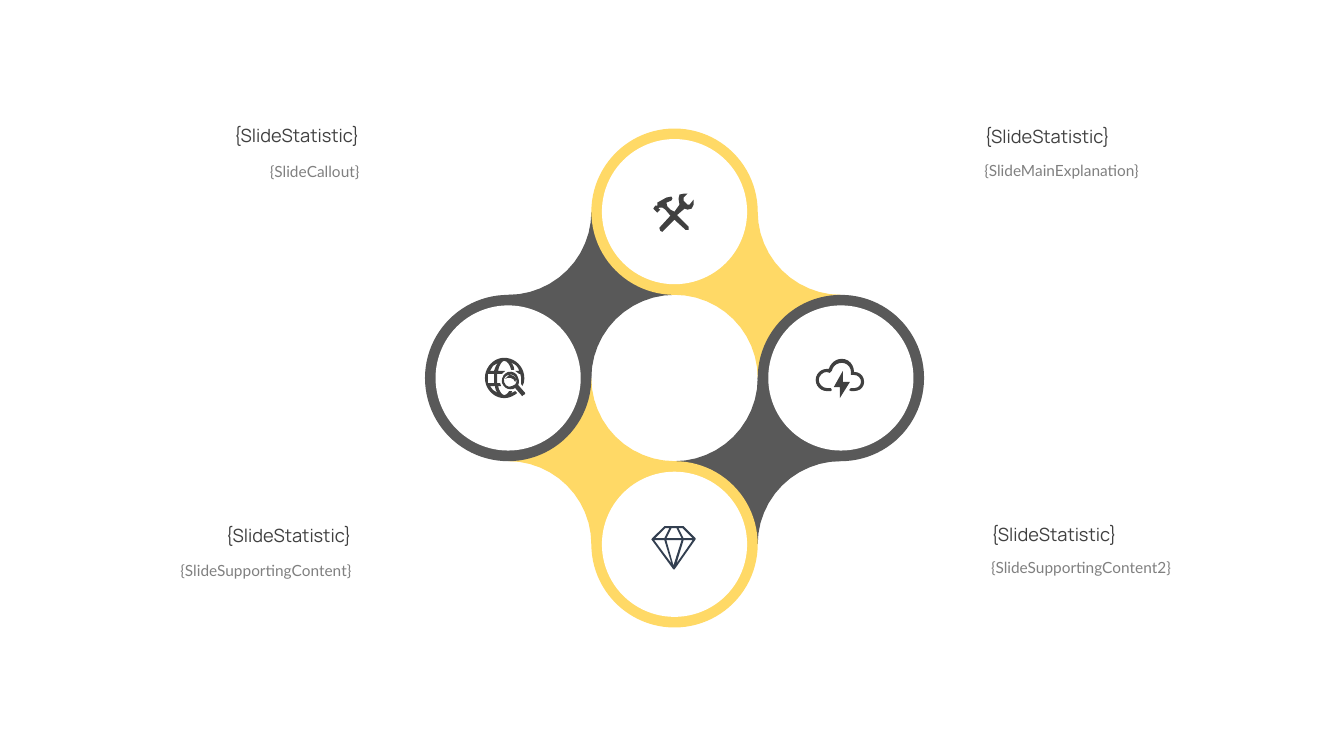
from math import ceil, cos, dist, radians, sin

from pptx import Presentation
from pptx.dml.color import RGBColor
from pptx.enum.shapes import MSO_SHAPE
from pptx.enum.text import MSO_AUTO_SIZE, PP_ALIGN
from pptx.util import Inches, Pt

WIDTH, HEIGHT = 13.33, 7.5
CENTER = (6.69, HEIGHT / 2)
STEP = 1.65            # from the centre of the cross to the centre of each lobe
LOBE_RADIUS = STEP / 2
HOLE_RADIUS = 0.72

YELLOW = RGBColor(0xFF, 0xD9, 0x66)
GRAY = RGBColor(0x59, 0x59, 0x59)
WHITE = RGBColor(0xFF, 0xFF, 0xFF)
DARK = RGBColor(0x40, 0x40, 0x40)
NAVY = RGBColor(0x33, 0x3F, 0x50)
MUTED = RGBColor(0x80, 0x80, 0x80)

# Clockwise from the right
LOBES = [(0, GRAY), (90, YELLOW), (180, GRAY), (270, YELLOW)]

STATISTIC = {"name": "Manrope", "size": Pt(13)}
EXPLANATION = {"name": "Lato", "size": Pt(11)}
TEXT_WIDTH, STATISTIC_HEIGHT, EXPLANATION_HEIGHT = 0.206, 0.053, 0.12

# Left edge, statistic top and explanation top as shares of the slide
CALLOUTS = [
    (0.725, 0.145, 0.195, PP_ALIGN.LEFT, "{SlideMainExplanation}"),
    (0.069, 0.143, 0.196, PP_ALIGN.RIGHT, "{SlideCallout}"),
    (0.063, 0.672, 0.723, PP_ALIGN.RIGHT, "{SlideSupportingContent}"),
    (0.73, 0.671, 0.72, PP_ALIGN.LEFT, "{SlideSupportingContent2}"),
]

# Outlines in inches: a pair is a straight step, six numbers are a cubic curve
TOOLS = [[
    (6.88, 1.98), (6.84, 2.03), (6.82, 2.03), (6.78, 1.99), (6.78, 1.96), (6.82, 1.92),
    (6.79, 1.92), (6.74, 1.93), (6.73, 1.97), (6.74, 2.03), (6.69, 2.1), (6.65, 2.08),
    (6.62, 2.05), (6.61, 2.01), (6.66, 1.99), (6.67, 1.97), (6.66, 1.95), (6.61, 1.96),
    (6.52, 2.01), (6.52, 2.04), (6.5, 2.04), (6.48, 2.07), (6.52, 2.11), (6.55, 2.08),
    (6.53, 2.07), (6.54, 2.06), (6.57, 2.06), (6.6, 2.08), (6.65, 2.14), (6.54, 2.26),
    (6.55, 2.29), (6.57, 2.3), (6.69, 2.18), (6.8, 2.28), (6.83, 2.28), (6.83, 2.25),
    (6.72, 2.14), (6.72, 2.13), (6.79, 2.07), (6.82, 2.08), (6.86, 2.07), (6.88, 2.03),
]]
DIAMOND = [
    [(6.59, 5.22), (6.78, 5.22), (6.9, 5.34), (6.9, 5.35), (6.69, 5.65), (6.68, 5.65),
     (6.46, 5.35), (6.47, 5.34)],
    [(6.77, 5.24), (6.87, 5.34), (6.78, 5.34), (6.73, 5.24)],
    [(6.71, 5.24), (6.76, 5.34), (6.61, 5.34), (6.66, 5.24)],
    [(6.6, 5.24), (6.64, 5.24), (6.59, 5.34), (6.5, 5.34)],
    [(6.49, 5.36), (6.59, 5.36), (6.66, 5.59)],
    [(6.68, 5.61), (6.61, 5.36), (6.76, 5.36)],
    [(6.71, 5.59), (6.78, 5.36), (6.87, 5.36)],
]
GLOBE = [
    [(5.11, 3.88), (5.07, 3.9), (5.08, 3.88), (5.05, 3.88),
     (5.04, 3.9, 5.02, 3.92, 5, 3.92), (4.98, 3.92, 4.95, 3.88, 4.94, 3.83),
     (4.97, 3.83), (4.96, 3.8), (4.93, 3.8), (4.93, 3.71), (4.98, 3.71), (5.01, 3.68),
     (4.94, 3.68), (4.95, 3.62, 4.98, 3.58, 5, 3.58), (5.03, 3.58, 5.06, 3.62, 5.07, 3.67),
     (5.1, 3.67), (5.1, 3.64, 5.09, 3.62, 5.07, 3.6), (5.11, 3.61, 5.14, 3.64, 5.15, 3.68),
     (5.11, 3.68), (5.15, 3.71), (5.16, 3.71), (5.17, 3.75), (5.17, 3.81), (5.18, 3.83),
     (5.2, 3.8, 5.2, 3.78, 5.2, 3.75), (5.2, 3.64, 5.11, 3.55, 5, 3.55),
     (4.9, 3.55, 4.81, 3.64, 4.81, 3.75), (4.81, 3.86, 4.9, 3.95, 5, 3.95),
     (5.05, 3.95, 5.09, 3.93, 5.13, 3.9)],
    [(4.94, 3.6), (4.92, 3.62, 4.91, 3.65, 4.9, 3.68), (4.86, 3.68), (4.89, 3.63)],
    [(4.84, 3.75), (4.84, 3.71), (4.9, 3.71), (4.9, 3.8), (4.84, 3.8)],
    [(4.86, 3.83), (4.91, 3.83), (4.91, 3.86, 4.92, 3.88, 4.94, 3.9), (4.89, 3.87)],
]
MAGNIFIER = [
    [(5.21, 3.9), (5.14, 3.82), (5.15, 3.8, 5.15, 3.77, 5.14, 3.75),
     (5.13, 3.7, 5.08, 3.68, 5.04, 3.69), (4.99, 3.71, 4.97, 3.76, 4.98, 3.8),
     (5, 3.85, 5.04, 3.87, 5.09, 3.86), (5.11, 3.85), (5.18, 3.93), (5.19, 3.92),
     (5.21, 3.91)],
    [(5, 3.79), (4.99, 3.76, 5.01, 3.73, 5.04, 3.72), (5.08, 3.71, 5.11, 3.72, 5.12, 3.76),
     (5.13, 3.79, 5.12, 3.82, 5.08, 3.83), (5.05, 3.85, 5.01, 3.83, 5, 3.79)],
]
GLARE = [[(5.03, 3.75), (5.07, 3.74, 5.1, 3.76, 5.11, 3.79), (5.12, 3.76),
          (5.11, 3.73, 5.08, 3.72, 5.05, 3.72), (5.01, 3.76)]]
CLOUD = [[
    (8.44, 3.88), (8.42, 3.87), (8.44, 3.85), (8.48, 3.85),
    (8.51, 3.85, 8.54, 3.82, 8.54, 3.79), (8.54, 3.75, 8.51, 3.72, 8.47, 3.72),
    (8.44, 3.72), (8.44, 3.69), (8.44, 3.64, 8.4, 3.6, 8.35, 3.6),
    (8.3, 3.6, 8.26, 3.63, 8.25, 3.68), (8.23, 3.7), (8.2, 3.69),
    (8.16, 3.69, 8.12, 3.73, 8.12, 3.77), (8.12, 3.81, 8.16, 3.85, 8.2, 3.85),
    (8.24, 3.85), (8.25, 3.87), (8.24, 3.88), (8.2, 3.88),
    (8.14, 3.88, 8.09, 3.83, 8.09, 3.77), (8.09, 3.71, 8.14, 3.66, 8.2, 3.66),
    (8.22, 3.66), (8.24, 3.6, 8.29, 3.56, 8.35, 3.56), (8.42, 3.56, 8.47, 3.62, 8.47, 3.69),
    (8.53, 3.69, 8.57, 3.73, 8.57, 3.79), (8.57, 3.84, 8.53, 3.88, 8.47, 3.88),
]]
BOLT = [[(8.43, 3.79), (8.36, 3.79), (8.36, 3.68), (8.27, 3.84), (8.33, 3.84), (8.33, 3.95)]]


def paint(shape, color):
    shape.shadow.inherit = False
    shape.fill.solid()
    shape.fill.fore_color.rgb = color
    shape.line.fill.background()


def offset(point, angle, distance):
    return (point[0] + distance * cos(radians(angle)), point[1] + distance * sin(radians(angle)))


def quarter_arc(center, start, steps=12):
    """Points counterclockwise on a lobe-sized circle."""
    return [offset(center, start - 90 * i / steps, LOBE_RADIUS) for i in range(steps + 1)]


def flatten(outline):
    """Turn an outline with cubic curves into straight steps."""
    points = []
    for segment in outline:
        if len(segment) == 2:
            points.append(segment)
            continue
        controls = [points[-1], segment[:2], segment[2:4], segment[4:]]
        steps = ceil(dist(controls[0], controls[3]) / 0.03)
        for i in range(1, steps + 1):
            t = i / steps
            weights = ((1 - t) ** 3, 3 * t * (1 - t) ** 2, 3 * t * t * (1 - t), t ** 3)
            points.append(tuple(sum(w * c[axis] for w, c in zip(weights, controls))
                                for axis in (0, 1)))
    return points


def add_outlines(slide, outlines, color):
    """Draw closed outlines as one shape; inner outlines become holes."""
    builder = None
    for outline in outlines:
        start, *rest = [(Inches(x), Inches(y)) for x, y in flatten(outline)]
        if builder is None:
            builder = slide.shapes.build_freeform(*start)
        else:
            builder.move_to(*start)
        builder.add_line_segments(rest, close=True)
    paint(builder.convert_to_shape(), color)


def add_waist(slide, angle, color):
    """Join the lobe at the angle to the next lobe clockwise."""
    outer_corner = offset(offset(CENTER, angle, STEP), angle + 90, STEP)
    outline = quarter_arc(outer_corner, angle + 270) + quarter_arc(CENTER, angle + 90)
    add_outlines(slide, [outline], color)


def add_disc(slide, angle, radius, color):
    x, y = offset(CENTER, angle, STEP)
    paint(slide.shapes.add_shape(MSO_SHAPE.OVAL, Inches(x - radius), Inches(y - radius),
                                 Inches(2 * radius), Inches(2 * radius)), color)


def add_text(slide, left, top, height, text, align, style, color):
    box = slide.shapes.add_textbox(Inches(left * WIDTH), Inches(top * HEIGHT),
                                   Inches(TEXT_WIDTH * WIDTH), Inches(height * HEIGHT))
    frame = box.text_frame
    frame.word_wrap = True
    frame.auto_size = MSO_AUTO_SIZE.SHAPE_TO_FIT_TEXT
    paragraph = frame.paragraphs[0]
    paragraph.alignment, paragraph.line_spacing = align, 1.5
    run = paragraph.add_run()
    run.text = text
    for attribute, value in style.items():
        setattr(run.font, attribute, value)
    run.font.color.rgb = color


def main():
    deck = Presentation()
    deck.slide_width, deck.slide_height = Inches(WIDTH), Inches(HEIGHT)
    slide = deck.slides.add_slide(deck.slide_layouts[6])
    for angle, color in LOBES:
        add_waist(slide, angle, color)
    for angle, color in LOBES:
        add_disc(slide, angle, LOBE_RADIUS, color)
        add_disc(slide, angle, HOLE_RADIUS, WHITE)
    for left, statistic_top, explanation_top, align, explanation in CALLOUTS:
        add_text(slide, left, explanation_top, EXPLANATION_HEIGHT, explanation, align,
                 EXPLANATION, MUTED)
        add_text(slide, left, statistic_top, STATISTIC_HEIGHT, "{SlideStatistic}", align,
                 STATISTIC, DARK)
    add_outlines(slide, DIAMOND, NAVY)
    for icon in (TOOLS, GLOBE, MAGNIFIER, GLARE, CLOUD, BOLT):
        add_outlines(slide, icon, DARK)
    deck.save("out.pptx")


if __name__ == "__main__":
    main()
